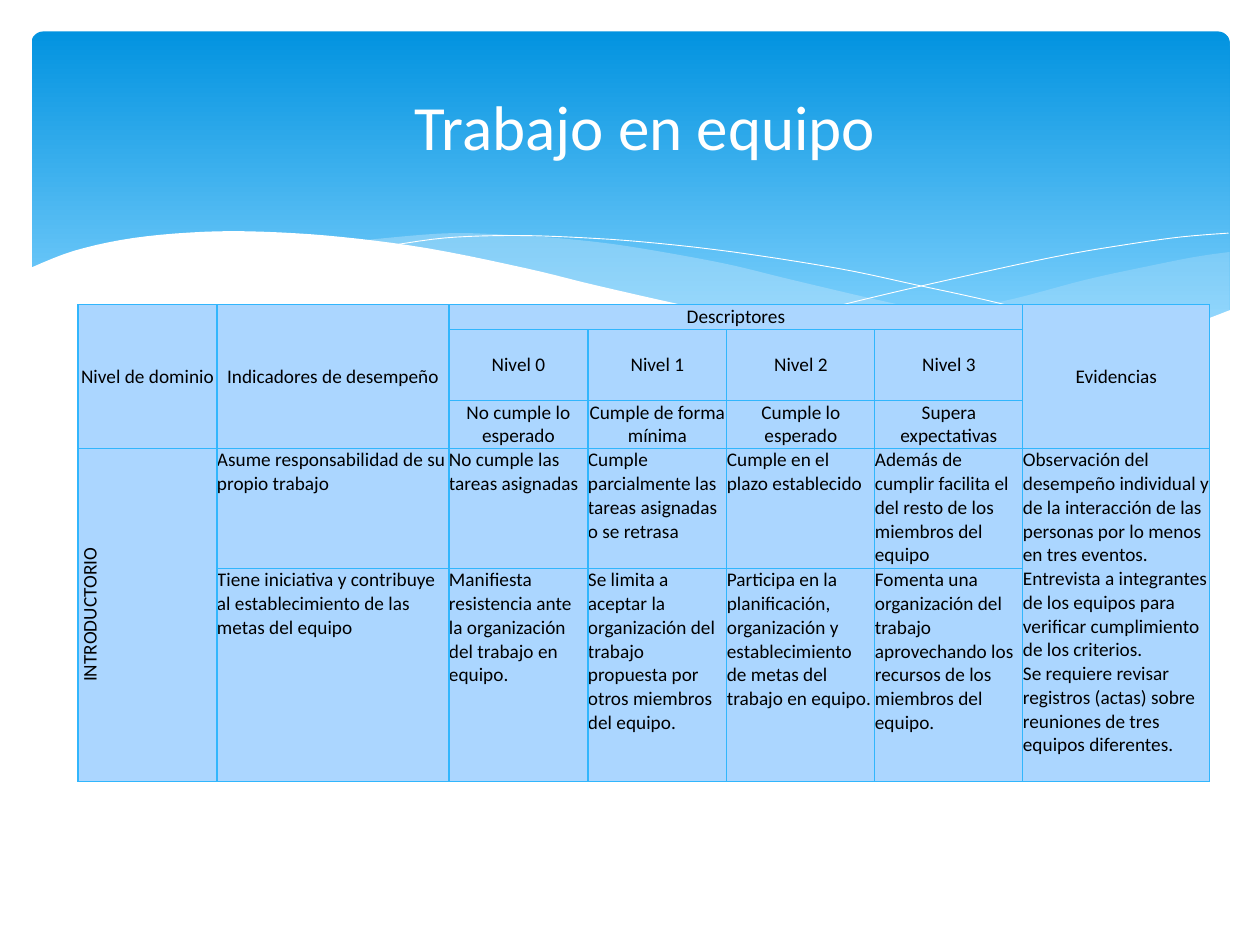
from lxml.etree import SubElement
from pptx import Presentation
from pptx.dml.color import RGBColor
from pptx.enum.shapes import MSO_SHAPE
from pptx.enum.text import MSO_ANCHOR, PP_ALIGN
from pptx.oxml import parse_xml
from pptx.oxml.ns import nsdecls, qn
from pptx.util import Pt

FONT = "Calibri"
COLORS = {
    "banner_top": "0293E0",
    "banner_bottom": "83D3FE",
    "wave": "C6E7FC",
    "white": "FFFFFF",
    "cell": "ABD6FF",
    "border": "31B6FD",
    "text": "000000",
}

TITLE = "Trabajo en equipo"
EVIDENCE = "\v".join([
    "Observación del desempeño individual y de la interacción de las personas "
    "por lo menos en tres eventos.",
    "Entrevista a integrantes de los equipos para verificar cumplimiento de los criterios.",
    "Se requiere revisar registros (actas) sobre reuniones de tres equipos diferentes.",
])
ROWS = [
    ["Nivel de dominio", "Indicadores de desempeño", "Descriptores", "", "", "", "Evidencias"],
    ["", "", "Nivel 0", "Nivel 1", "Nivel 2", "Nivel 3", ""],
    ["", "", "No cumple lo esperado", "Cumple de forma mínima", "Cumple lo esperado",
     "Supera expectativas", ""],
    ["INTRODUCTORIO", "Asume responsabilidad de su propio trabajo",
     "No cumple las tareas asignadas",
     "Cumple parcialmente las tareas asignadas o se retrasa",
     "Cumple en el plazo establecido",
     "Además de cumplir facilita el del resto de los miembros del equipo", EVIDENCE],
    ["", "Tiene iniciativa y contribuye al establecimiento de las metas del equipo",
     "Manifiesta resistencia ante la organización del trabajo en equipo.",
     "Se limita a aceptar la organización del trabajo propuesta por otros miembros del equipo.",
     "Participa en la planificación, organización y establecimiento de metas del trabajo en equipo.",
     "Fomenta una organización del trabajo aprovechando los recursos de los miembros del equipo.",
     ""],
]
HEADER_ROWS = 3
# first row, first column, last row, last column
MERGES = [(0, 0, 2, 0), (0, 1, 2, 1), (0, 2, 0, 5), (0, 6, 2, 6), (3, 0, 4, 0), (3, 6, 4, 6)]
TABLE_LEFT, TABLE_TOP = 44.6, 174.2
COLUMN_WIDTHS = [79.4, 132.6, 79.4, 79.4, 84.6, 84.6, 106.8]
ROW_HEIGHTS = [14.3, 40.5, 26.9, 68.6, 121.7]

# Curves as (x, y) knots in points
RIGHT_WAVE_TOP = [(702.7, 144), (682, 147), (652, 153), (620, 160), (580, 170.6),
                  (542, 178.6), (508, 185), (476, 190.8)]
RIGHT_WAVE_BOTTOM = [(476, 190.8), (518, 195.2), (554, 198.7), (586, 200), (615, 198.7),
                     (646, 193.7), (673, 188), (693, 181.4), (702.7, 177.8)]
MIDDLE_WAVE_TOP = [(643, 196.6), (603, 190.8), (558, 183), (508, 172.8), (453, 160),
                   (420, 151.9), (390, 146), (352, 139.7), (318, 136), (287, 134),
                   (260, 133.2), (236, 134.6), (206, 137.5)]
MIDDLE_WAVE_BOTTOM = [(206, 137.5), (246, 143.3), (291, 152), (323, 160), (382, 173),
                      (433, 183.6), (479, 191.5), (520, 196.6), (557, 199.4), (589, 200),
                      (617, 199.4), (643, 196.6)]
FALLING_LINE = [(222.5, 140.4), (254, 136), (289, 134.6), (324, 135.4), (367, 138.2),
                (419, 144), (479, 153.4), (523, 162.7), (572, 173.5), (626, 188), (653, 195.8)]
RISING_LINE = [(441, 185), (484, 173.5), (539, 160.6), (602, 146.9), (644, 139.7),
               (675, 135.4), (702, 133.2)]
FRONT_WAVE_TOP = [(16.5, 153.5), (42.5, 143.3), (76.3, 136), (116, 132.5), (152, 132.5),
                  (195, 135.4), (245, 142), (301, 153.4), (342, 163.4), (400, 176.4),
                  (451, 185.8), (510, 194.4), (560, 198.7), (593, 199.4), (630, 196.6),
                  (662, 190.8), (684, 184.3), (703.5, 177)]
FRONT_WAVE_BOTTOM = [(703.5, 237), (16.5, 237)]


def rgb(name):
    return RGBColor.from_string(COLORS[name])


def smooth(knots, steps=5):
    """Return points of a Catmull-Rom curve through the knots."""
    padded = [knots[0], *knots, knots[-1]]
    points = [knots[0]]
    for a, b, c, d in zip(padded, padded[1:], padded[2:], padded[3:]):
        for step in range(1, steps + 1):
            t = step / steps
            points.append(tuple(
                (2 * q + (r - p) * t + (2 * p - 5 * q + 4 * r - s) * t ** 2
                 + (3 * q - p - 3 * r + s) * t ** 3) / 2
                for p, q, r, s in zip(a, b, c, d)))
    return points


def add_outline(slide, points, closed):
    start, *rest = [(Pt(x), Pt(y)) for x, y in points]
    builder = slide.shapes.build_freeform(*start)
    builder.add_line_segments(rest, close=closed)
    shape = builder.convert_to_shape()
    shape.shadow.inherit = False
    return shape


def add_wave(slide, points, color, opacity=100):
    wave = add_outline(slide, points, True)
    wave.fill.solid()
    wave.fill.fore_color.rgb = rgb(color)
    wave.line.fill.background()
    if opacity < 100:
        color_element = wave.fill._xPr.find(".//" + qn("a:srgbClr"))
        SubElement(color_element, qn("a:alpha"), val=str(opacity * 1000))


def add_curve(slide, knots):
    curve = add_outline(slide, smooth(knots), False)
    curve.fill.background()
    curve.line.color.rgb = rgb("white")
    curve.line.width = Pt(0.5)


def add_banner(slide):
    banner = slide.shapes.add_shape(
        MSO_SHAPE.ROUNDED_RECTANGLE, Pt(18), Pt(18), Pt(684.7), Pt(194.4))
    banner.adjustments[0] = 0.034
    banner.shadow.inherit = False
    banner.line.fill.background()
    banner.fill.gradient()
    banner.fill.gradient_angle = 270
    stops = banner.fill.gradient_stops
    for stop, position, color in zip(stops, (0, 0.9), ("banner_top", "banner_bottom")):
        stop.position = position
        stop.color.rgb = rgb(color)


def format_text(paragraph, size, color):
    for run in paragraph.runs:
        run.font.name = FONT
        run.font.size = Pt(size)
        run.font.color.rgb = rgb(color)


def add_borders(cell):
    properties = cell._tc.get_or_add_tcPr()
    for index, side in enumerate("LRTB"):
        properties.insert(index, parse_xml(
            f'<a:ln{side} {nsdecls("a")} w="{Pt(0.75)}"><a:solidFill>'
            f'<a:srgbClr val="{COLORS["border"]}"/></a:solidFill></a:ln{side}>'))


def fill_cell(cell, text, centered):
    cell.margin_left = cell.margin_right = cell.margin_top = cell.margin_bottom = 0
    cell.vertical_anchor = MSO_ANCHOR.MIDDLE if centered else MSO_ANCHOR.TOP
    cell.fill.solid()
    cell.fill.fore_color.rgb = rgb("cell")
    add_borders(cell)
    cell.text_frame.text = text
    paragraph = cell.text_frame.paragraphs[0]
    paragraph.alignment = PP_ALIGN.CENTER if centered else PP_ALIGN.LEFT
    format_text(paragraph, 11, "text")


def add_rubric(slide):
    table = slide.shapes.add_table(
        len(ROWS), len(COLUMN_WIDTHS), Pt(TABLE_LEFT), Pt(TABLE_TOP),
        Pt(sum(COLUMN_WIDTHS)), Pt(sum(ROW_HEIGHTS))).table
    table.first_row = table.horz_banding = False
    for column, width in zip(table.columns, COLUMN_WIDTHS):
        column.width = Pt(width)
    for row, height in zip(table.rows, ROW_HEIGHTS):
        row.height = Pt(height)
    for r, texts in enumerate(ROWS):
        for c, text in enumerate(texts):
            fill_cell(table.cell(r, c), text, centered=r < HEADER_ROWS or c == 0)
    for top, left, bottom, right in MERGES:
        table.cell(top, left).merge(table.cell(bottom, right))
    table.cell(HEADER_ROWS, 0)._tc.get_or_add_tcPr().set("vert", "vert270")


def format_title(slide):
    title = slide.shapes.title
    title.left, title.top, title.width, title.height = Pt(44.6), Pt(22.3), Pt(648), Pt(98.6)
    title.text_frame.text = TITLE
    title.text_frame.vertical_anchor = MSO_ANCHOR.MIDDLE
    paragraph = title.text_frame.paragraphs[0]
    paragraph.alignment = PP_ALIGN.CENTER
    format_text(paragraph, 36, "white")
    title.element.getparent().append(title.element)  # bring in front of the banner


def main():
    presentation = Presentation()
    presentation.slide_width, presentation.slide_height = Pt(720), Pt(540)
    slide = presentation.slides.add_slide(presentation.slide_layouts[5])
    add_banner(slide)
    add_wave(slide, smooth(RIGHT_WAVE_TOP) + smooth(RIGHT_WAVE_BOTTOM), "wave", 29)
    add_wave(slide, smooth(MIDDLE_WAVE_TOP) + smooth(MIDDLE_WAVE_BOTTOM), "wave", 40)
    add_curve(slide, FALLING_LINE)
    add_curve(slide, RISING_LINE)
    add_wave(slide, smooth(FRONT_WAVE_TOP) + FRONT_WAVE_BOTTOM, "white")
    add_rubric(slide)
    format_title(slide)
    presentation.save("out.pptx")


if __name__ == "__main__":
    main()
